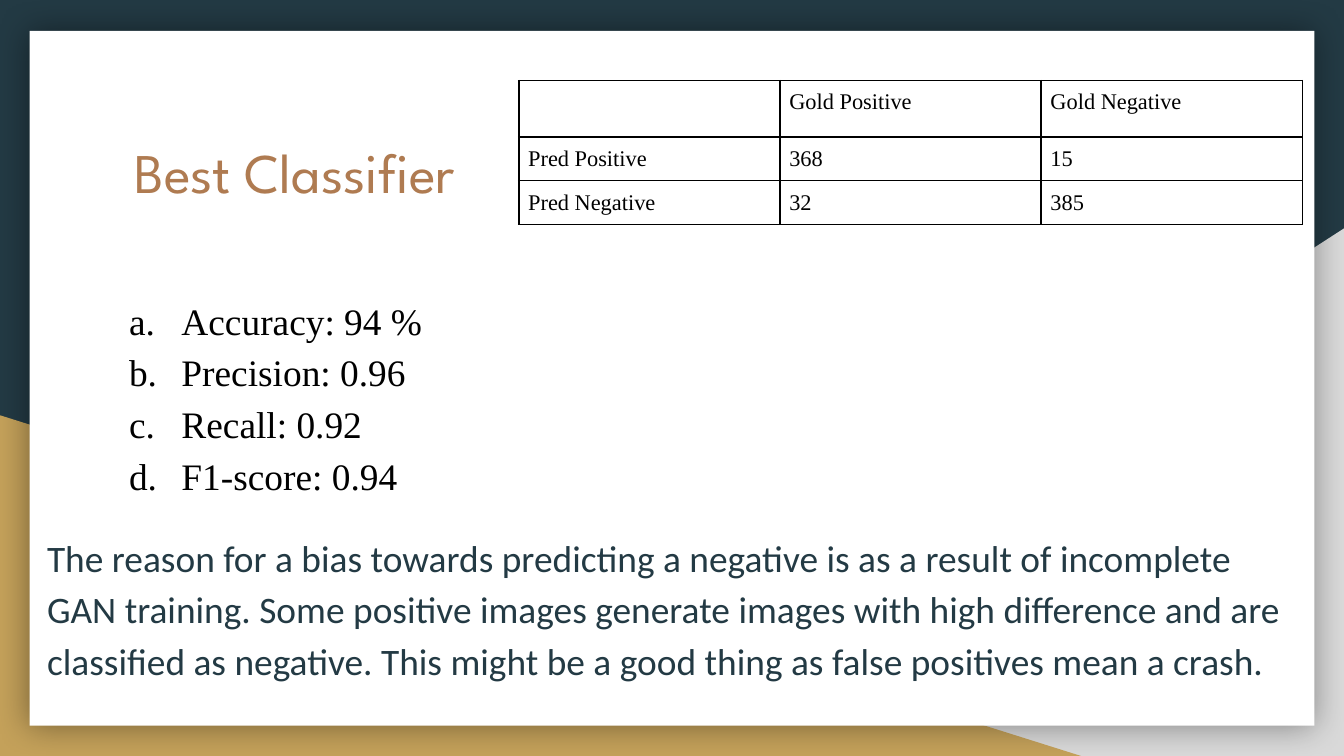
from lxml.etree import SubElement as Sub
from pptx import Presentation
from pptx.dml.color import RGBColor as Rgb
from pptx.enum.shapes import MSO_SHAPE as Kind
from pptx.enum.text import MSO_ANCHOR as Anchor, MSO_AUTO_SIZE as Auto, PP_ALIGN as Align
from pptx.oxml.ns import qn
from pptx.util import Inches, Pt

THEME = {
    "back": "233A44", "grey": "D9D9D9", "gold": "C4A15A", "page": "FFFFFF", "ink": "000000",
    "title": {"name": "League Spartan", "size": 30, "color": "AF7B51"},
    "list": {"name": "Times New Roman", "size": 20, "color": "000000"},
    "body": {"name": "Calibri", "size": 20, "color": "233A44"},
    "cell": {"name": "Times New Roman", "size": 12, "color": "000000"},
}
WIDE = Inches(10)
HIGH = WIDE * 9 // 16
PANELS = [
    ("grey", Kind.RIGHT_TRIANGLE, (3.92, 1.7, 6.08, 3.93), True),
    ("gold", Kind.RIGHT_TRIANGLE, (0, 3.09, 8.06, 2.54), False),
    ("page", Kind.RECTANGLE, (0.22, 0.23, 9.56, 5.17), False),
]
TITLE = "Best Classifier"
SCORES = ["Accuracy: 94 %", "Precision: 0.96", "Recall: 0.92", "F1-score: 0.94"]
REASON = (
    "The reason for a bias towards predicting a negative is as a result of incomplete "
    "GAN training. Some positive images generate images with high difference and are "
    "classified as negative. This might be a good thing as false positives mean a crash."
)
GRID = [
    ("", "Gold Positive", "Gold Negative"),
    ("Pred Positive", "368", "15"),
    ("Pred Negative", "32", "385"),
]
ROWS = (0.42, 0.32, 0.32)
SPAN = 5.83
TEXTS = [
    ("list", SCORES, (0.25, 1.9, 3.28, 2.07), Anchor.MIDDLE,
     {"line_spacing": 1.15, "space_before": Pt(0)}),
    ("title", [TITLE], (0.9, 0.92, 8.21, 1.04), Anchor.TOP, {"space_before": Pt(0)}),
    ("body", [REASON], (0.25, 3.83, 9.44, 1.52), Anchor.TOP,
     {"line_spacing": 1.15, "space_before": Pt(0), "space_after": Pt(12)}),
]
SIDES = ("left", "top", "width", "height")


def put(item, form):
    for key, value in form.items():
        setattr(item, key, value)


def pad(item, gap):
    put(item, {"margin_" + side: Inches(gap) for side in ("left", "top", "right", "bottom")})


def ink(font, name):
    look = THEME[name]
    put(font, {"name": look["name"], "size": Pt(look["size"]), "bold": False})
    font.color.rgb = Rgb.from_string(look["color"])


def mark(para, name):
    props = para._p.get_or_add_pPr()
    left, hang = (1, -0.39) if name == "list" else (0, 0)
    props.set("marL", str(Inches(left)))
    props.set("indent", str(Inches(hang)))
    if name == "list":
        tint = Sub(props, qn("a:buClr"))
        Sub(tint, qn("a:srgbClr"), val=THEME["ink"])
        Sub(props, qn("a:buFont"), typeface=THEME["list"]["name"])
        Sub(props, qn("a:buAutoNum"), type="alphaLcPeriod")
    else:
        Sub(props, qn("a:buNone"))


def panel(slide, name, kind, box, flip):
    shape = slide.shapes.add_shape(kind, *map(Inches, box))
    shape.shadow.inherit = False
    shape.fill.solid()
    shape.fill.fore_color.rgb = Rgb.from_string(THEME[name])
    shape.line.fill.background()
    props = shape._element.spPr
    if flip:
        props.find(qn("a:xfrm")).set("flipH", "1")
    if name == "page":
        glow = Sub(props.find(qn("a:effectLst")), qn("a:outerShdw"),
                   blurRad=str(Pt(18)), dist="0", dir="0", algn="ctr", rotWithShape="0")
        tint = Sub(glow, qn("a:srgbClr"), val=THEME["ink"])
        Sub(tint, qn("a:alpha"), val="40000")


def write(holder, name, lines, box, anchor, form):
    put(holder, dict(zip(SIDES, map(Inches, box))))
    frame = holder.text_frame
    put(frame, {"word_wrap": True, "auto_size": Auto.NONE, "vertical_anchor": anchor})
    pad(frame, 0.1)
    frame.text = "\n".join(lines)
    for num, para in enumerate(frame.paragraphs):
        put(para, {"alignment": Align.LEFT, "level": int(name == "list"), **form})
        if name == "list" and num == 0:
            para.space_before = Pt(12)
        mark(para, name)
        ink(para.runs[0].font, name)


def edge(cell):
    props = cell._tc.get_or_add_tcPr()
    for tag in ("a:lnL", "a:lnR", "a:lnT", "a:lnB"):
        line = Sub(props, qn(tag), w=str(Pt(1)))
        fill = Sub(line, qn("a:solidFill"))
        Sub(fill, qn("a:srgbClr"), val=THEME["ink"])


def matrix(slide):
    size = map(Inches, (3.86, 0.6, SPAN, sum(ROWS)))
    table = slide.shapes.add_table(len(GRID), len(GRID[0]), *size).table
    put(table, {"first_row": False, "horz_banding": False})
    for col in table.columns:
        col.width = Inches(SPAN / len(GRID[0]))
    for row, high, words in zip(table.rows, ROWS, GRID):
        row.height = Inches(high)
        for cell, word in zip(row.cells, words):
            pad(cell, 0.07)
            edge(cell)
            cell.fill.background()
            para = cell.text_frame.paragraphs[0]
            if word:
                para.text = word
                ink(para.runs[0].font, "cell")
            else:
                Sub(para._p, qn("a:endParaRPr"), sz=str(THEME["cell"]["size"] * 100))


def main():
    deck = Presentation()
    put(deck, {"slide_width": WIDE, "slide_height": HIGH})
    slide = deck.slides.add_slide(deck.slide_layouts[3])
    fill = slide.background.fill
    fill.solid()
    fill.fore_color.rgb = Rgb.from_string(THEME["back"])
    title, scores, body = slide.placeholders
    slots = {"title": title, "list": scores, "body": body}
    for row in PANELS:
        panel(slide, *row)
    matrix(slide)
    tree = slide.shapes._spTree
    for name, *rest in TEXTS:
        write(slots[name], name, *rest)
        tree.append(slots[name]._element)
    deck.save("out.pptx")


if __name__ == "__main__":
    main()
